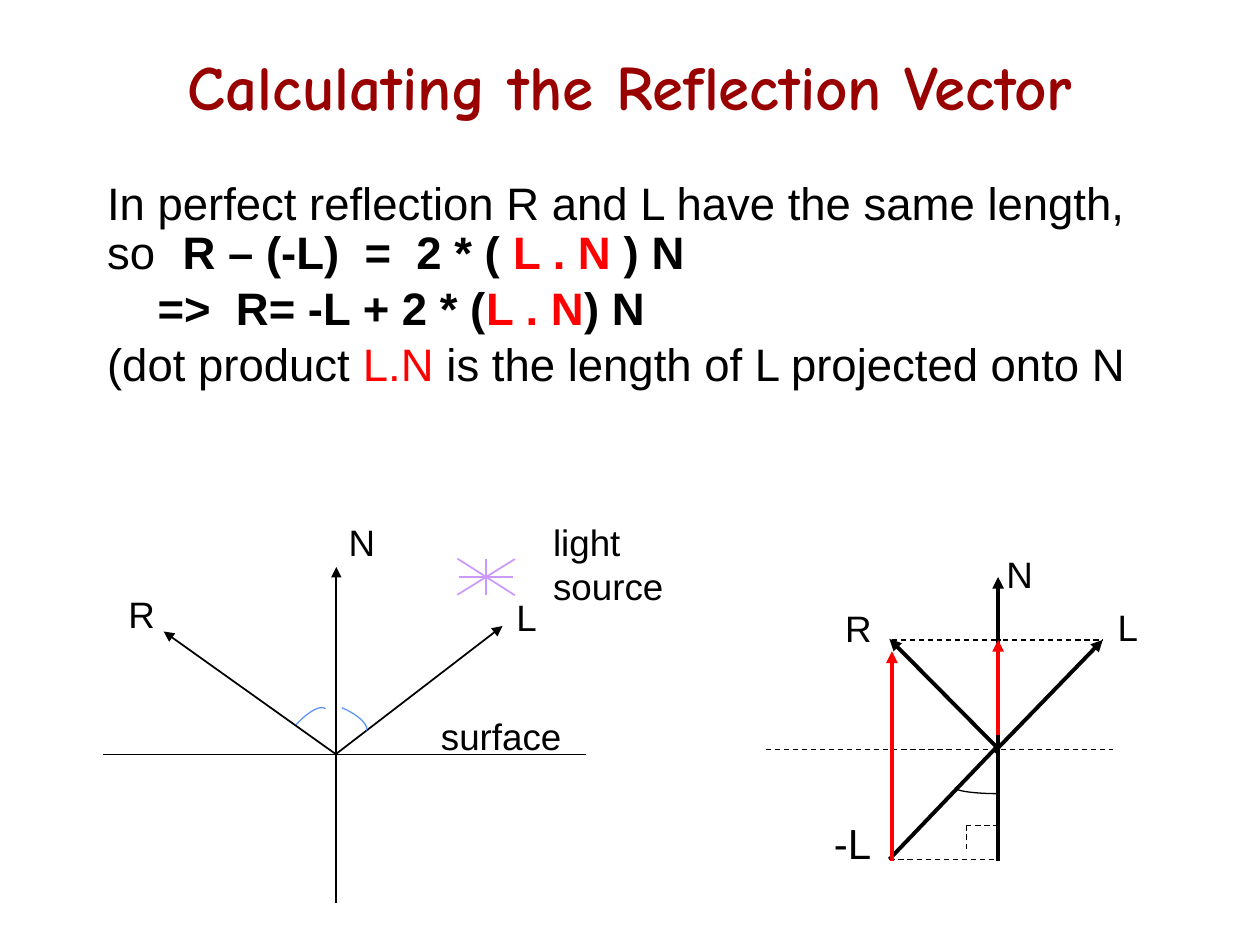
from dataclasses import dataclass

from lxml import etree
from pptx import Presentation
from pptx import util as u
from pptx.dml.color import RGBColor
from pptx.enum import dml, shapes, text
from pptx.oxml.ns import qn


@dataclass(frozen=True)
class Theme:
    title_font: str = "Comic Neue"
    font: str = "Arial"
    title: str = "990000"
    ink: str = "000000"
    accent: str = "FF0000"
    light: str = "CC99FF"
    angle: str = "6094FD"
    title_size: float = 36
    body_size: float = 26
    label_size: float = 21
    minus_size: float = 24
    hair: float = 0.75
    thin: float = 1
    thick: float = 2.25


T = Theme()


def add_run(p, content, size, color=T.ink, bold=False, font=T.font):
    r = p.add_run()
    r.text = content
    r.font.name = font
    r.font.size = u.Pt(size)
    r.font.bold = bold
    r.font.color.rgb = RGBColor.from_string(color)


def add_box(s, left, top, width, height, wrap=True):
    sp = s.shapes.add_textbox(u.Cm(left), u.Cm(top), u.Cm(width), u.Cm(height))
    tf = sp.text_frame
    tf.word_wrap = wrap
    return tf


def add_label(s, lines, left, top, width, height=1.28, size=T.label_size):
    tf = add_box(s, left, top, width, height, wrap=False)
    tf.auto_size = text.MSO_AUTO_SIZE.SHAPE_TO_FIT_TEXT
    for i, line in enumerate(lines.split("\n")):
        p = tf.add_paragraph() if i else tf.paragraphs[0]
        add_run(p, line, size)


def add_line(s, x1, y1, x2, y2, color=T.ink, width=T.thin, arrow=False, dash=False):
    c = s.shapes.add_connector(shapes.MSO_CONNECTOR.STRAIGHT,
                               u.Cm(x1), u.Cm(y1), u.Cm(x2), u.Cm(y2))
    c.line.color.rgb = RGBColor.from_string(color)
    c.line.width = u.Pt(width)
    if dash:
        c.line.dash_style = dml.MSO_LINE.DASH
    if arrow:
        etree.SubElement(c.line._get_or_add_ln(), qn("a:tailEnd"), type="triangle")
    etree.SubElement(c._element.spPr, qn("a:effectLst"))


def add_arc(s, left, top, width, height, color, rotation=0, start=270, end=0):
    sp = s.shapes.add_shape(shapes.MSO_SHAPE.ARC,
                            u.Cm(left), u.Cm(top), u.Cm(width), u.Cm(height))
    sp.shadow.inherit = False
    sp.fill.background()
    sp.line.color.rgb = RGBColor.from_string(color)
    sp.line.width = u.Pt(T.hair)
    sp.rotation = rotation
    # One degree is 60000 units, and an adjustment counts 100000 units
    sp.adjustments[0] = start * 0.6
    sp.adjustments[1] = end * 0.6


def add_title(s):
    tf = add_box(s, 1.91, 0.64, 21.59, 2.16)
    tf.vertical_anchor = text.MSO_ANCHOR.MIDDLE
    p = tf.paragraphs[0]
    p.alignment = text.PP_ALIGN.CENTER
    add_run(p, "Calculating the Reflection Vector", T.title_size, T.title, True, T.title_font)


def add_body(s):
    # Each paragraph: first-line indent in cm, then runs of text, colour, bold
    paragraphs = [
        (0, [("In perfect reflection R and L have the same length, so \t ", T.ink, False),
             ("R – (-L)  =  2 * ( ", T.ink, True),
             ("L . N ", T.accent, True),
             (") N", T.ink, True)]),
        (1.02, [("=>  R= -L + 2 * (", T.ink, True),
                ("L . N", T.accent, True),
                (") N", T.ink, True)]),
        (0, [("(dot product ", T.ink, False),
             ("L.N", T.accent, False),
             (" is the length of L projected onto N", T.ink, False)]),
    ]
    tf = add_box(s, 1.91, 3.53, 21.59, 13.74)
    for i, (indent, runs) in enumerate(paragraphs):
        p = tf.add_paragraph() if i else tf.paragraphs[0]
        p.line_spacing = 0.9
        p.space_before = u.Pt(4)
        if indent:
            p._p.get_or_add_pPr().set("indent", str(u.Cm(indent)))
        for content, color, bold in runs:
            add_run(p, content, T.body_size, color, bold)


def add_light(s, x, y):
    for dx, dy in [(0, 0.36), (0.55, 0), (0.58, -0.36), (0.58, 0.37)]:
        add_line(s, x - dx, y - dy, x + dx, y + dy, T.light)


def add_surface_diagram(s):
    add_light(s, 9.8, 11.63)
    add_line(s, 2.08, 15.21, 11.81, 15.21)
    # Normal, light and reflection vectors
    for ends in [(6.78, 18.21, 6.78, 11.43),
                 (6.76, 15.21, 10.13, 12.62),
                 (6.78, 15.21, 3.3, 12.73)]:
        add_line(s, *ends, arrow=True)
    # Equal angles
    add_arc(s, 6.17, 14.25, 1.27, 0.46, T.angle, 23.1)
    add_arc(s, 5.51, 14.53, 1.27, 0.46, T.angle, 311.6)
    add_label(s, "light\nsource", 10.9, 10.36, 3.07, 2.31)
    add_label(s, "N", 6.78, 10.36, 1.12)
    add_label(s, "L", 10.16, 11.86, 0.97)
    add_label(s, "R", 2.34, 11.81, 1.12)
    add_label(s, "surface", 8.64, 14.27, 3.3)


def add_projection_diagram(s):
    # Normal, reflection and reversed light vectors
    add_line(s, 20.12, 17.35, 20.12, 11.63, width=T.thick, arrow=True)
    add_line(s, 20.09, 15.06, 17.93, 12.88, width=T.thick, arrow=True)
    add_line(s, 20.09, 15.06, 17.93, 17.32, width=T.thick)
    # Surface, foot of -L, right angle, and tips of R and L
    for ends in [(15.44, 15.11, 22.43, 15.11),
                 (17.93, 17.32, 20.09, 17.32),
                 (19.48, 16.64, 20.14, 16.64),
                 (19.48, 16.64, 19.48, 17.17),
                 (17.98, 12.9, 20.17, 12.9),
                 (20.04, 12.9, 22.23, 12.9)]:
        add_line(s, *ends, width=T.hair, dash=True)
    add_arc(s, 19.25, 15.75, 1.73, 0.25, T.ink, start=90, end=180)
    # Projected lengths and the light vector
    add_line(s, 17.98, 17.35, 17.98, 13.13, T.accent, T.thick, arrow=True)
    add_line(s, 20.12, 14.81, 20.12, 12.9, T.accent, T.thick, arrow=True)
    add_line(s, 20.04, 15.16, 22.23, 12.9, width=T.thick, arrow=True)
    add_label(s, "N", 20.04, 11, 1.12)
    add_label(s, "R", 16.79, 12.09, 1.12)
    add_label(s, "-L", 16.56, 16.36, 1.85, size=T.minus_size)
    add_label(s, "L", 22.28, 12.07, 1.85)


def main():
    prs = Presentation()
    prs.slide_width, prs.slide_height = u.Cm(25.4), u.Cm(19.05)
    s = prs.slides.add_slide(prs.slide_layouts[6])
    add_title(s)
    add_body(s)
    add_surface_diagram(s)
    add_projection_diagram(s)
    prs.save("out.pptx")


if __name__ == "__main__":
    main()
